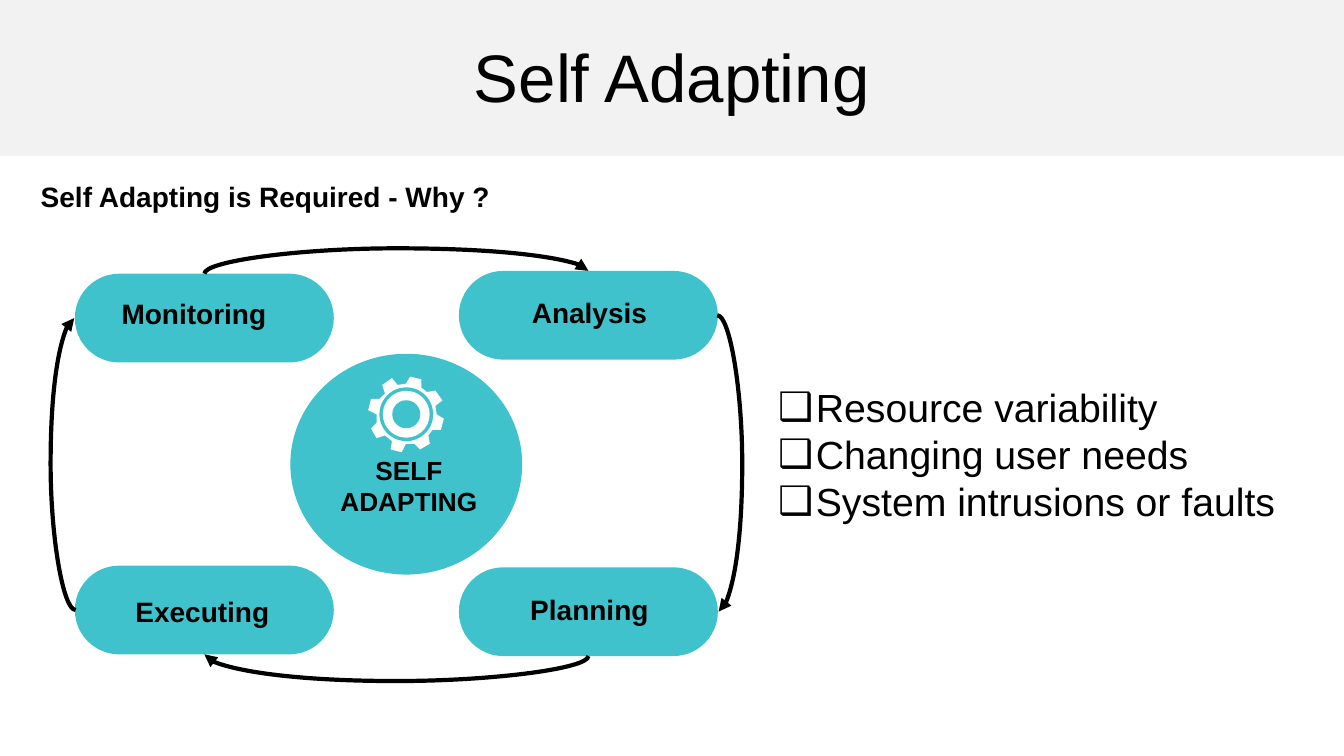
from math import cos, radians, sin

from lxml.etree import SubElement
from pptx import Presentation
from pptx.dml.color import RGBColor
from pptx.enum.shapes import MSO_CONNECTOR, MSO_SHAPE
from pptx.enum.text import MSO_ANCHOR, MSO_AUTO_SIZE, PP_ALIGN
from pptx.oxml.ns import qn
from pptx.util import Pt

BLACK = RGBColor(0x00, 0x00, 0x00)
WHITE = RGBColor(0xFF, 0xFF, 0xFF)
GREY = RGBColor(0xF2, 0xF2, 0xF2)
TEAL = RGBColor(0x3F, 0xC2, 0xCB)
WIDE, HIGH = 960, 540


def place(shape, x, y, w, h):
    shape.left, shape.top, shape.width, shape.height = map(Pt, (x, y, w, h))


def paint(shape, color):
    shape.shadow.inherit = False
    shape.fill.solid()
    shape.fill.fore_color.rgb = color
    shape.line.fill.background()
    return shape


def draw(shapes, kind, box, color):
    return paint(shapes.add_shape(kind, *map(Pt, box)), color)


def write(frame, *lines, size=20, bold=False, align=PP_ALIGN.CENTER,
          anchor=MSO_ANCHOR.MIDDLE, bullet=None, indent=27):
    frame.word_wrap = True
    frame.auto_size = MSO_AUTO_SIZE.NONE
    frame.vertical_anchor = anchor
    for i, line in enumerate(lines):
        par = frame.add_paragraph() if i else frame.paragraphs[0]
        par.alignment = align
        par.space_before = Pt(0)
        run = par.add_run()
        run.text = line
        font = run.font
        font.name, font.size, font.bold = "Arial", Pt(size), bold
        font.color.rgb = BLACK
        if bullet:
            props = par._p.get_or_add_pPr()
            props.set("marL", str(Pt(indent)))
            props.set("indent", str(-Pt(indent)))
            SubElement(props, qn("a:buChar")).set("char", bullet)


def label(shapes, text, box, **form):
    write(shapes.add_textbox(*map(Pt, box)).text_frame, text, bold=True, **form)


def header(slide, x, y, w, h):
    band = draw(slide.shapes, MSO_SHAPE.RECTANGLE, (x, y, w, h), GREY)
    slide.shapes._spTree.insert(2, band._element)
    title = slide.shapes.title
    place(title, x, y + 24, w, h - 51)
    write(title.text_frame, "Self Adapting", size=48)


def gear(shapes, cx, cy):
    """Eight teeth around two concentric rings."""
    dots = []
    for tooth in range(8):
        mid = 45 * tooth - 75.5
        for turn, r in ((-15, 21.6), (-8.5, 27.4), (8.5, 27.4), (15, 21.6)):
            angle = radians(mid + turn)
            dots.append((cx + r * cos(angle), cy + r * sin(angle)))
    path = shapes.build_freeform(*dots[0], scale=Pt(1))
    path.add_line_segments(dots[1:])
    paint(path.convert_to_shape(), WHITE)
    for r, color in ((19.2, TEAL), (16.7, WHITE), (10, TEAL)):
        draw(shapes, MSO_SHAPE.OVAL, (cx - r, cy - r, 2 * r, 2 * r), color)


def hub(slide, x, y, w, h):
    shapes = slide.shapes.add_group_shape().shapes
    draw(shapes, MSO_SHAPE.OVAL, (x, y, w, h), TEAL)
    gear(shapes, x + w / 2, y + 43.2)
    label(shapes, "SELF ADAPTING", (x + 13, y + 67.7, 143.3, 52.6), size=18.7)


def link(slide, start, end, site, turn, flips, bulge):
    """Curved arrow that leaves and enters by the same side of two pills."""
    arrow = slide.shapes.add_connector(MSO_CONNECTOR.CURVE, 0, 0, 0, 0)
    arrow.begin_connect(start, site)
    arrow.end_connect(end, site)
    dx, dy = abs(arrow.end_x - arrow.begin_x), abs(arrow.end_y - arrow.begin_y)
    cx = (arrow.begin_x + arrow.end_x) // 2
    cy = (arrow.begin_y + arrow.end_y) // 2
    thin, span = max(min(dx, dy), Pt(1)), max(dx, dy)
    arrow.left, arrow.top = cx - thin // 2, cy - span // 2
    arrow.width, arrow.height = thin, span
    props = arrow._element.spPr
    frame = props.find(qn("a:xfrm"))
    frame.set("rot", str(turn * 60000))
    for axis in "HV":
        frame.set("flip" + axis, str(int(axis in flips)))
    guide = SubElement(props.find(qn("a:prstGeom")).get_or_add_avLst(), qn("a:gd"))
    guide.set("name", "adj1")
    guide.set("fmla", f"val {round(Pt(bulge) / thin * 100000)}")
    arrow.line.color.rgb = BLACK
    arrow.line.width = Pt(3)
    SubElement(arrow.line._get_or_add_ln(), qn("a:tailEnd")).set("type", "triangle")
    SubElement(props, qn("a:effectLst"))


def cycle(slide, x, y):
    # name, pill offset, label offset
    steps = (
        ("Monitoring", (0, 2), (16.3, 14.4)),
        ("Analysis", (274.3, 0), (298.8, 14)),
        ("Planning", (274.3, 211.7), (298.8, 226)),
        ("Executing", (0, 210.5), (22.3, 227.5)),
    )
    pills = []
    for _, (dx, dy), _ in steps:
        box = (x + dx, y + dy, 185, 63.4)
        pill = draw(slide.shapes, MSO_SHAPE.ROUNDED_RECTANGLE, box, TEAL)
        pill.adjustments[0] = 0.5
        pills.append(pill)
    # side, rotation, flips, bulge
    bends = ((0, 90, "HV", 18), (3, 0, "", 18), (2, 90, "H", -18), (1, 180, "", 18))
    for i, bend in enumerate(bends):
        link(slide, pills[i], pills[(i + 1) % 4], *bend)
    for name, _, (dx, dy) in steps:
        label(slide.shapes, name, (x + dx, y + dy, 137.5, 31.5))
    hub(slide, x + 153.9, y + 59.2, 165.6, 157.7)


def reasons(slide, x, y, w, h):
    body = slide.placeholders[1]
    place(body, x, y, w, h)
    write(body.text_frame, "Resource variability", "Changing user needs",
          "System intrusions or faults", size=28, align=PP_ALIGN.LEFT,
          anchor=MSO_ANCHOR.TOP, bullet="❑")


def main():
    deck = Presentation()
    deck.slide_width, deck.slide_height = Pt(WIDE), Pt(HIGH)
    slide = deck.slides.add_slide(deck.slide_layouts[1])
    header(slide, 0, 0, WIDE, 111.4)
    label(slide.shapes, "Self Adapting is Required - Why ?",
          (22, 124.6, 361.4, 31.5), align=PP_ALIGN.LEFT)
    cycle(slide, 53.5, 193.5)
    reasons(slide, 548.6, 270, 384.5, 108.7)
    deck.save("out.pptx")


if __name__ == "__main__":
    main()
